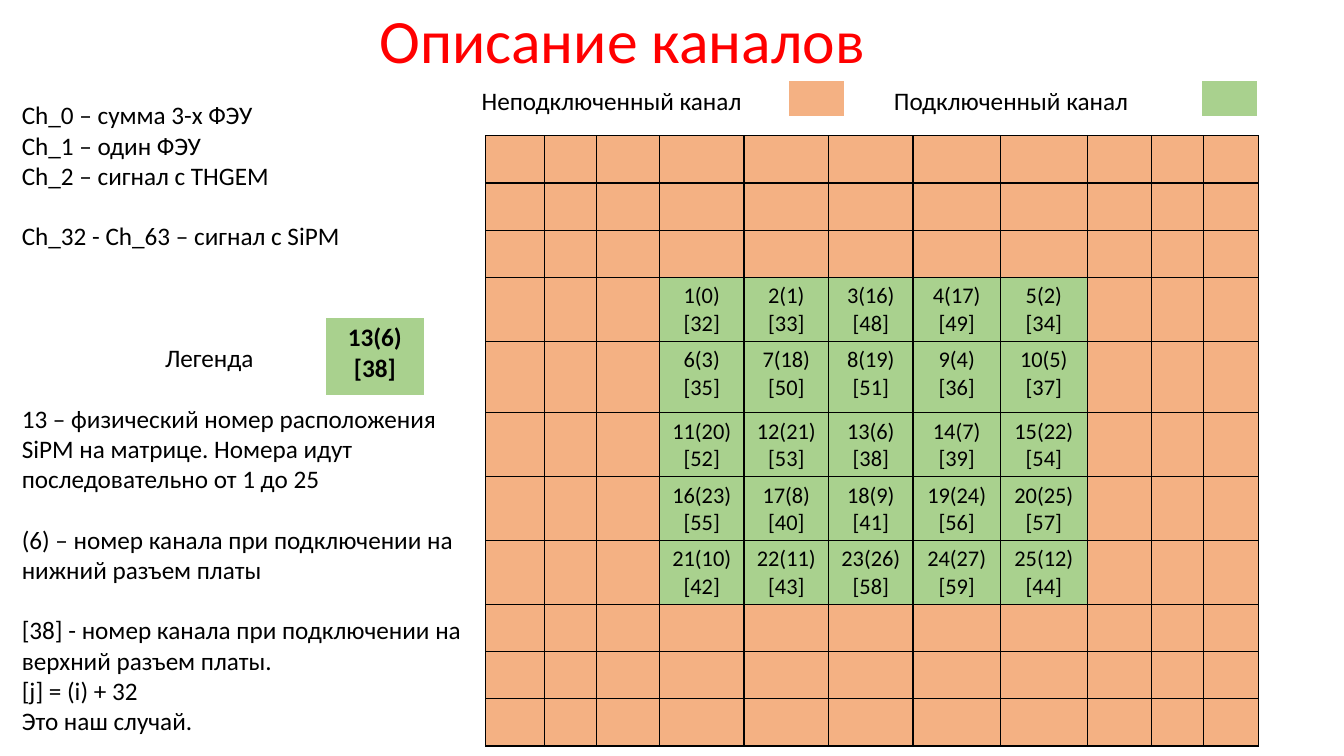
from lxml import etree
from pptx import Presentation
from pptx.dml.color import RGBColor
from pptx.enum.text import MSO_ANCHOR, PP_ALIGN
from pptx.oxml.ns import qn
from pptx.util import Cm, Pt

CENTER, LEFT = PP_ALIGN.CENTER, PP_ALIGN.LEFT
TOP, MIDDLE = MSO_ANCHOR.TOP, MSO_ANCHOR.MIDDLE

THEME = {
    "font": "Calibri",
    "black": "000000",
    "white": "FFFFFF",
    "red": "FF0000",
    "free": "F4B183",
    "used": "A9D18E",
    "title": 44,
    "body": 18,
    "cell": 16,
    "gap": 21.6,
}


def write(tf, lines, size, color=THEME["black"], align=LEFT, bold=False):
    gap = False
    for i, line in enumerate(lines):
        if line is None:
            gap = True
            continue
        p = tf.paragraphs[0] if i == 0 else tf.add_paragraph()
        p.text = line
        p.alignment = align
        if gap:
            p.space_before = Pt(THEME["gap"])
            gap = False
        font = p.runs[0].font
        font.name = THEME["font"]
        font.size = Pt(size)
        font.bold = bold
        font.color.rgb = RGBColor.from_string(color)


def make_table(left, top, widths, heights, border, bottom):
    frame = s.shapes.add_table(len(heights), len(widths), Cm(left), Cm(top),
                               Cm(sum(widths)), Cm(sum(heights)))
    table = frame.table
    table.first_row = table.horz_banding = False
    for col, width in zip(table.columns, widths):
        col.width = Cm(width)
    for row, height in zip(table.rows, heights):
        row.height = Cm(height)
    for cell in table.iter_cells():
        tcPr = cell._tc.get_or_add_tcPr()
        for side, weight in (("lnL", 1), ("lnR", 1), ("lnT", 1), ("lnB", bottom)):
            ln = etree.SubElement(tcPr, qn(f"a:{side}"), w=str(Pt(weight)))
            fill = etree.SubElement(ln, qn("a:solidFill"))
            etree.SubElement(fill, qn("a:srgbClr"), val=border)
        cell.fill.solid()
        cell.fill.fore_color.rgb = RGBColor.from_string(THEME["free"])
    return table


prs = Presentation()
prs.slide_width, prs.slide_height = Cm(33.87), Cm(19.05)
s = prs.slides.add_slide(prs.slide_layouts[6])

texts = [
    (0, 0, 31.37, 2.18, ["Описание каналов"], "title", "red", CENTER, MIDDLE),
    (0.3, 2.39, 15.82, 4.11, [
        "Ch_0 – сумма 3-х ФЭУ",
        "Ch_1 – один ФЭУ",
        "Ch_2 – сигнал с THGEM",
        None,
        "Ch_32 - Ch_63 – сигнал с SiPM",
    ], "body", "black", LEFT, TOP),
    (11.89, 2.03, 7.11, 1.02, ["Неподключенный канал"], "body", "black", LEFT, TOP),
    (22.28, 2.03, 7.11, 1.02, ["Подключенный канал"], "body", "black", LEFT, TOP),
    (3.91, 8.51, 4.11, 1.02, ["Легенда"], "body", "black", LEFT, TOP),
    (0.3, 10.03, 11.58, 8.71, [
        "13 – физический номер расположения SiPM на матрице. "
        "Номера идут последовательно от 1 до 25",
        None,
        "(6) – номер канала при подключении на нижний разъем платы",
        None,
        "[38] - номер канала при подключении на верхний разъем платы.",
        "[j] = (i) + 32",
        "Это наш случай.",
    ], "body", "black", LEFT, TOP),
]
for left, top, width, height, lines, size, color, align, anchor in texts:
    sp = s.shapes.add_textbox(Cm(left), Cm(top), Cm(width), Cm(height))
    tf = sp.text_frame
    tf.word_wrap = True
    tf.vertical_anchor = anchor
    write(tf, lines, THEME[size], THEME[color], align)
    if size == "title":
        tf.paragraphs[0].line_spacing = 0.9

col_widths = [1.48, 1.31, 1.59, 2.13, 2.13, 2.13, 2.2, 2.19, 1.62, 1.31, 1.38]
row_heights = [1.19] * 3 + [1.61, 1.8, 1.61, 1.61, 1.61] + [1.19] * 3
lower_channels = [
    [0, 1, 16, 17, 2],
    [3, 18, 19, 4, 5],
    [20, 21, 6, 7, 22],
    [23, 8, 9, 24, 25],
    [10, 11, 26, 27, 12],
]
matrix = make_table(12.24, 3.42, col_widths, row_heights, THEME["black"], 1)
for r, channels in enumerate(lower_channels):
    for c, channel in enumerate(channels):
        cell = matrix.cell(r + 3, c + 3)
        cell.fill.fore_color.rgb = RGBColor.from_string(THEME["used"])
        lines = [f"{r * 5 + c + 1}({channel})", f"[{channel + 32}]"]
        write(cell.text_frame, lines, THEME["cell"], align=CENTER)

keys = [
    (19.86, 2.03, 1.42, 0.95, "free", []),
    (30.28, 2.03, 1.42, 0.95, "used", []),
    (8.2, 8, 2.49, 2, "used", ["13(6)", "[38]"]),
]
for left, top, width, height, color, lines in keys:
    cell = make_table(left, top, [width], [height], THEME["white"], 3).cell(0, 0)
    cell.fill.fore_color.rgb = RGBColor.from_string(THEME[color])
    if not lines:
        cell.margin_top = cell.margin_bottom = 0
    write(cell.text_frame, lines, THEME["body"], align=CENTER, bold=True)

prs.save("out.pptx")
